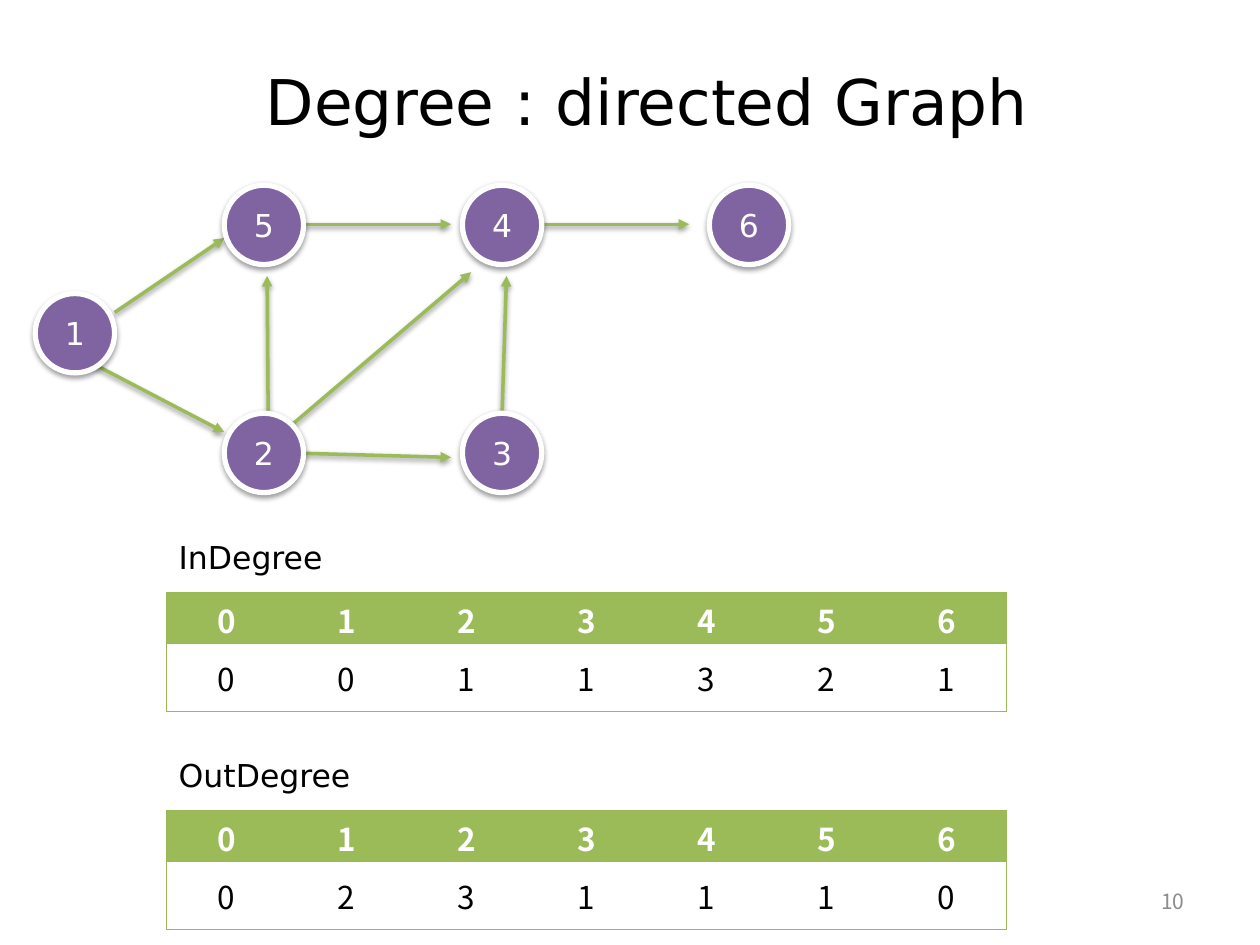
from pptx import Presentation
from pptx.dml.color import RGBColor
from pptx.enum import shapes, text
from pptx.oxml import parse_xml
from pptx.oxml.ns import nsdecls, qn
from pptx.util import Inches, Pt

COLORS = {"black": "000000", "white": "FFFFFF", "green": "9BBB59",
          "border": "98B955", "purple": "8064A2", "gray": "8C8C8C"}
SANS, CJK = "DejaVu Sans", "Noto Sans CJK KR"
NO_STYLE = "{2D5ABB26-0587-4C30-8999-92F81FD0307C}"
NODE_SIZE = 0.63
COL_WIDTH, ROW_HEIGHTS = 6.67 / 7, (0.41, 0.54)

# Left and top of each node
NODES = {"1": (0.28, 2.33), "2": (1.78, 3.28), "3": (3.67, 3.28),
         "4": (3.67, 1.47), "5": (1.78, 1.47), "6": (5.63, 1.47)}
# Start and end of each arrow
EDGES = [(0.91, 2.48, 1.78, 1.89), (0.63, 2.83, 1.78, 3.43),
         (2.4, 1.78, 3.58, 1.78), (4.3, 1.78, 5.47, 1.78),
         (2.12, 3.59, 3.58, 3.63), (2.13, 3.53, 3.74, 2.16),
         (2.13, 3.49, 2.12, 2.19), (3.98, 3.43, 4.02, 2.19)]
# Label, top of label, top of table, degrees
DEGREES = [("InDegree", 4.07, 4.7, "0011321"),
           ("OutDegree", 5.8, 6.43, "0231110")]


def rgb(name):
    return RGBColor.from_string(COLORS[name])


def set_text(tf, content, size, font, color, align=None, bold=False):
    tf.text = content
    p = tf.paragraphs[0]
    p.alignment = align
    r = p.runs[0]
    r.font.size, r.font.name, r.font.bold = Pt(size), font, bold
    r.font.color.rgb = rgb(color)
    return p


def add_text(slide, box, content, size, font, color, align=None, middle=True):
    tf = slide.shapes.add_textbox(*map(Inches, box)).text_frame
    tf.word_wrap = middle
    if middle:
        tf.vertical_anchor = text.MSO_ANCHOR.MIDDLE
    return set_text(tf, content, size, font, color, align)


def add_shadow(sp):
    sp._element.spPr.append(parse_xml(
        f'<a:effectLst {nsdecls("a")}><a:outerShdw blurRad="{Pt(3.1)}" '
        f'dist="{Pt(1.6)}" dir="5400000" rotWithShape="0">'
        f'<a:srgbClr val="{COLORS["black"]}"><a:alpha val="38000"/></a:srgbClr>'
        '</a:outerShdw></a:effectLst>'))


def add_edge(slide, ends):
    sp = slide.shapes.add_connector(shapes.MSO_CONNECTOR.STRAIGHT,
                                    *map(Inches, ends))
    sp.line.color.rgb = rgb("green")
    sp.line.width = Pt(2)
    sp.line._get_or_add_ln().append(
        parse_xml(f'<a:tailEnd {nsdecls("a")} type="triangle"/>'))
    add_shadow(sp)


def add_node(slide, label, left, top):
    sp = slide.shapes.add_shape(
        shapes.MSO_SHAPE.OVAL,
        *map(Inches, (left, top, NODE_SIZE, NODE_SIZE)))
    sp.fill.solid()
    sp.fill.fore_color.rgb = rgb("purple")
    sp.line.color.rgb = rgb("white")
    sp.line.width = Pt(3)
    add_shadow(sp)
    sp.text_frame.vertical_anchor = text.MSO_ANCHOR.MIDDLE
    set_text(sp.text_frame, label, 18, SANS, "white", text.PP_ALIGN.CENTER)


def add_borders(cell, sides):
    for side in sides:
        cell._tc.get_or_add_tcPr().append(parse_xml(
            f'<a:ln{side} {nsdecls("a")} w="{Pt(0.75)}"><a:solidFill>'
            f'<a:srgbClr val="{COLORS["border"]}"/></a:solidFill></a:ln{side}>'))


def add_degree_table(slide, top, rows):
    cols = len(rows[0])
    frame = slide.shapes.add_table(
        len(rows), cols, Inches(1.32), Inches(top),
        Inches(COL_WIDTH * cols), Inches(sum(ROW_HEIGHTS)))
    table = frame.table
    table._tbl.tblPr.find(qn("a:tableStyleId")).text = NO_STYLE
    table.horz_banding = False
    for col in table.columns:
        col.width = Inches(COL_WIDTH)
    for i, values in enumerate(rows):
        header = i == 0
        table.rows[i].height = Inches(ROW_HEIGHTS[i])
        for j, value in enumerate(values):
            cell = table.cell(i, j)
            left = "L" if j == 0 else ""
            right = "R" if j == cols - 1 else ""
            add_borders(cell, left + right + ("T" if header else "TB"))
            cell.fill.solid()
            cell.fill.fore_color.rgb = rgb("green" if header else "white")
            cell.margin_top = Inches(0.03 if header else 0)
            cell.margin_bottom = 0
            cell.vertical_anchor = text.MSO_ANCHOR.MIDDLE
            set_text(cell.text_frame, value, 18, CJK,
                     "white" if header else "black",
                     text.PP_ALIGN.CENTER, header)


def main():
    prs = Presentation()
    prs.slide_width, prs.slide_height = Inches(10), Inches(7.5)
    slide = prs.slides.add_slide(prs.slide_layouts[6])

    # Title and page number
    add_text(slide, (2.01, 0.29, 7.06, 1.01), "Degree : directed Graph",
             36, SANS, "black")
    add_text(slide, (7.17, 6.95, 2.33, 0.4), "10", 12, CJK, "gray",
             text.PP_ALIGN.RIGHT)

    # Directed graph
    for ends in EDGES:
        add_edge(slide, ends)
    for label, (left, top) in NODES.items():
        add_node(slide, label, left, top)

    # Degree tables
    for label, label_top, table_top, degrees in DEGREES:
        p = add_text(slide, (1.32, label_top, 1.57, 0.49), label, 18, SANS,
                     "black", middle=False)
        p.line_spacing = 1.5
        add_degree_table(slide, table_top, ("0123456", degrees))

    prs.save("out.pptx")


main()
